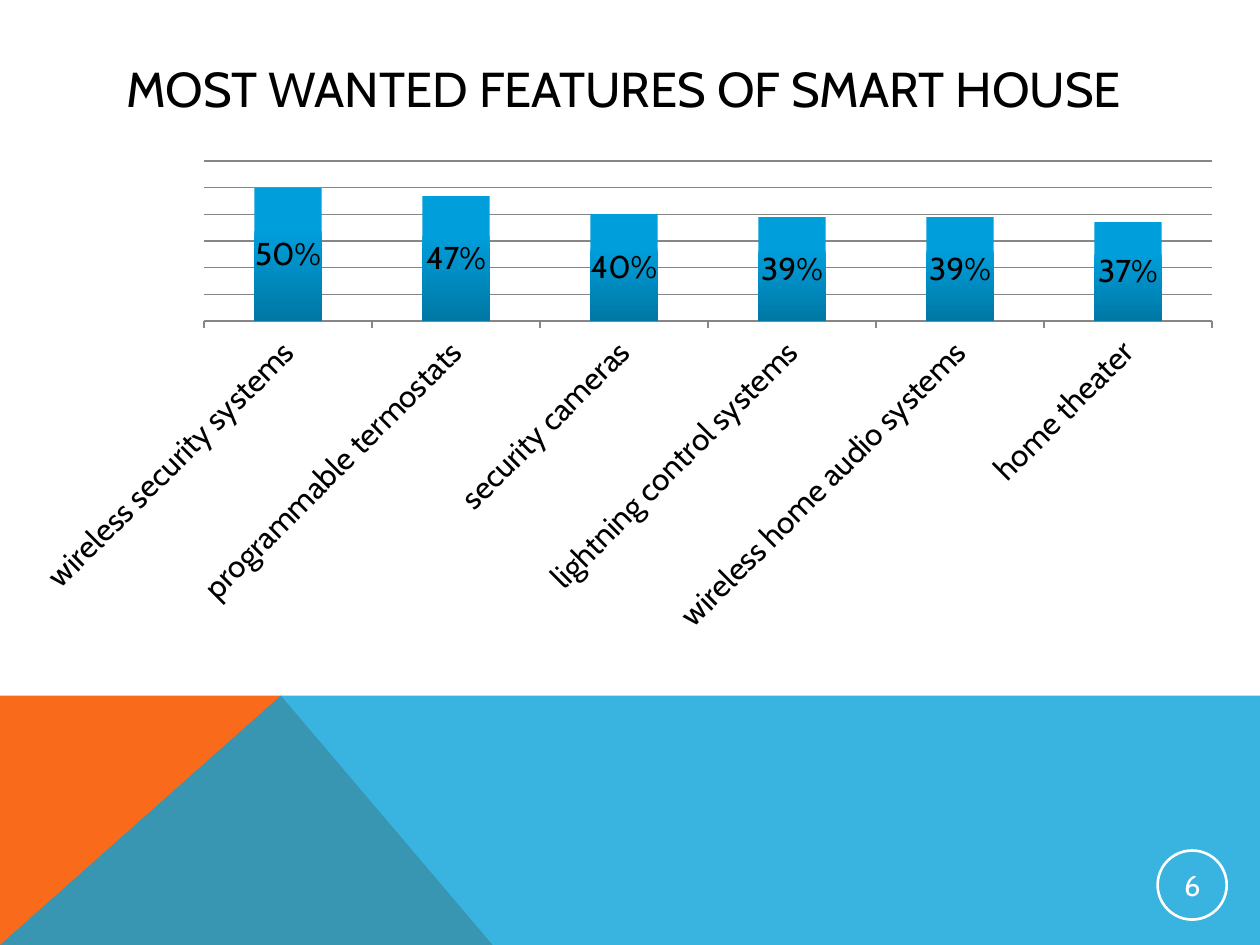
from lxml import etree
from pptx import Presentation
from pptx.chart.data import CategoryChartData
from pptx.dml.color import RGBColor
from pptx.enum.chart import XL_CHART_TYPE, XL_LABEL_POSITION, XL_TICK_MARK
from pptx.enum.shapes import MSO_SHAPE
from pptx.enum.text import MSO_ANCHOR, PP_ALIGN
from pptx.oxml.ns import qn
from pptx.util import Pt

STACKED = XL_CHART_TYPE.COLUMN_STACKED
CENTER_LABEL = XL_LABEL_POSITION.CENTER
TICK_OUT, TICK_NONE = XL_TICK_MARK.OUTSIDE, XL_TICK_MARK.NONE
ELLIPSE = MSO_SHAPE.OVAL
MIDDLE = MSO_ANCHOR.MIDDLE
LEFT, CENTER = PP_ALIGN.LEFT, PP_ALIGN.CENTER

FONT = "Cabin"
COLORS = {
    "text": "000000",
    "white": "FFFFFF",
    "orange": "F96A1B",
    "blue": "08A1D9",
    "bar_top": "009FDC",
    "bar_bottom": "0078A5",
    "grid": "868686",
}


def color(name):
    return RGBColor.from_string(COLORS[name])


def write_text(box, text, size, ink="text", align=LEFT, inset=(7.2, 3.6)):
    frame = box.text_frame
    frame.word_wrap = True
    frame.vertical_anchor = MIDDLE
    frame.margin_left = frame.margin_right = Pt(inset[0])
    frame.margin_top = frame.margin_bottom = Pt(inset[1])
    para = frame.paragraphs[0]
    para.alignment = align
    span = para.add_run()
    span.text = text
    span.font.name = FONT
    span.font.size = Pt(size)
    span.font.color.rgb = color(ink)


deck = Presentation()
deck.slide_width, deck.slide_height = Pt(720), Pt(540)
page = deck.slides.add_slide(deck.slide_layouts[6])

band_top, peak = 397.5, 160.5
bands = [
    ("orange", 100, [(0, 540), (0, band_top), (peak, band_top), (281.5, 540)]),
    ("blue", 80, [(0, 540), (peak, band_top), (720, band_top), (720, 540)]),
]
for name, opacity, corners in bands:
    points = [(Pt(x), Pt(y)) for x, y in corners]
    builder = page.shapes.build_freeform(*points[0], scale=1.0)
    builder.add_line_segments(points[1:], close=True)
    band = builder.convert_to_shape()
    band.shadow.inherit = False
    band.fill.solid()
    band.fill.fore_color.rgb = color(name)
    band.line.fill.background()
    if opacity < 100:
        tint = band._element.spPr.find(".//" + qn("a:srgbClr"))
        etree.SubElement(tint, qn("a:alpha")).set("val", str(opacity * 1000))

title = page.shapes.add_textbox(Pt(65), Pt(29), Pt(592), Pt(43))
write_text(title, "MOST WANTED FEATURES OF SMART HOUSE", size=28)

features = {
    "wireless security systems": 0.5,
    "programmable termostats": 0.47,
    "security cameras": 0.4,
    "lightning control systems": 0.39,
    "wireless home audio systems": 0.39,
    "home theater": 0.37,
}
data = CategoryChartData(number_format="0%")
data.categories = list(features)
data.add_series("Series 1", list(features.values()))
chart = page.shapes.add_chart(STACKED, Pt(8.5), Pt(86.5), Pt(698), Pt(281.5), data).chart
chart.has_legend = False
chart.has_title = False
chart.font.name = FONT
chart.font.size = Pt(18)
chart.font.color.rgb = color("text")

plot = chart.plots[0]
plot.vary_by_categories = False
plot.gap_width, plot.overlap = 150, 100
fill = plot.series[0].format.fill
fill.gradient()
fill.gradient_angle = 270
for stop, name, position in zip(fill.gradient_stops, ("bar_top", "bar_bottom"), (0.3, 1)):
    stop.color.rgb = color(name)
    stop.position = position

plot.has_data_labels = True
labels = plot.data_labels
labels.show_value = True
labels.position = CENTER_LABEL
labels.number_format = "0%"
labels.number_format_is_linked = False

values = chart.value_axis
values.visible = False
values.minimum_scale, values.maximum_scale, values.major_unit = 0, 0.6, 0.1
values.has_major_gridlines = True
categories = chart.category_axis
categories.major_tick_mark = TICK_OUT
categories.minor_tick_mark = TICK_NONE
for line in (values.major_gridlines.format.line, categories.format.line):
    line.color.rgb = color("grid")
    line.width = Pt(0.75)
categories.tick_labels.font.size = Pt(18)
categories._element.find(qn("c:txPr")).find(qn("a:bodyPr")).set("rot", "-2700000")

badge = page.shapes.add_shape(ELLIPSE, Pt(661.5), Pt(486), Pt(39.5), Pt(39.5))
badge.shadow.inherit = False
badge.fill.background()
badge.line.color.rgb = color("white")
badge.line.width = Pt(1.5)
write_text(badge, "6", size=16.5, ink="white", align=CENTER, inset=(0.7, 0.7))

deck.save("out.pptx")
